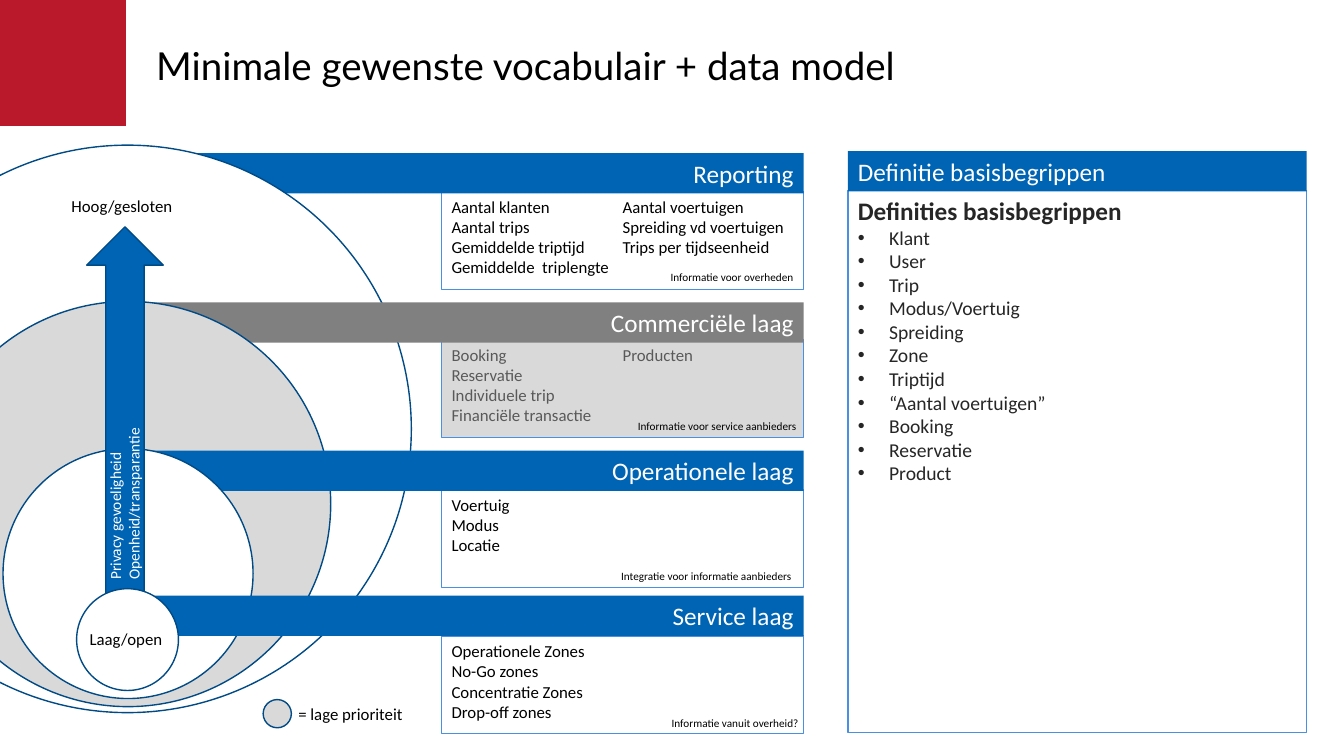
import pptx
import pptx.util
import pptx.dml.color
import pptx.enum.shapes
import pptx.enum.text
import pptx.oxml
import pptx.oxml.ns
from lxml import etree

Inches = pptx.util.Inches
Pt = pptx.util.Pt
RGBColor = pptx.dml.color.RGBColor
Shape = pptx.enum.shapes.MSO_SHAPE
Anchor = pptx.enum.text.MSO_ANCHOR
Align = pptx.enum.text.PP_ALIGN

WHITE = RGBColor(0xFF, 0xFF, 0xFF)
BLACK = RGBColor(0x00, 0x00, 0x00)
RED = RGBColor(0xBA, 0x19, 0x2B)
BLUE = RGBColor(0x00, 0x64, 0xB4)
DARK_BLUE = RGBColor(0x00, 0x4A, 0x85)
LIGHT_BLUE = RGBColor(0x4A, 0x90, 0xE2)
GRAY = RGBColor(0x80, 0x80, 0x80)
LIGHT_GRAY = RGBColor(0xD9, 0xD9, 0xD9)
TEXT_GRAY = RGBColor(0x59, 0x59, 0x59)
CHARCOAL = RGBColor(0x26, 0x26, 0x26)

# name, bar top, box top, terms, note, note left, note top, low priority
LAYERS = [
    ("Reporting", 1.52, 1.9,
     ["Aantal klanten", "Aantal trips", "Gemiddelde triptijd", "Gemiddelde  triplengte",
      "Aantal voertuigen", "Spreiding vd voertuigen", "Trips per tijdseenheid"],
     "Informatie voor overheden", 5.27, 2.63, False),
    ("Commerciële laag", 3, 3.37,
     ["Booking", "Reservatie", "Individuele trip", "Financiële transactie", "Producten"],
     "Informatie voor service aanbieders", 5.3, 4.11, True),
    ("Operationele laag", 4.47, 4.86, ["Voertuig", "Modus", "Locatie"],
     "Integratie voor informatie aanbieders", 5.25, 5.6, False),
    ("Service laag", 5.91, 6.31,
     ["Operationele Zones", "No-Go zones", "Concentratie Zones", "Drop-off zones"],
     "Informatie vanuit overheid?", 5.32, 7.06, False),
]
CIRCLES = [(-1.55, 1.44, 5.63), (-0.74, 2.99, 4.02), (0.03, 4.45, 2.48)]
CONCEPTS = ["Klant", "User", "Trip", "Modus/Voertuig", "Spreiding", "Zone", "Triptijd",
            "“Aantal voertuigen”", "Booking", "Reservatie", "Product"]


class SlideBuilder:
    """Draws styled elements on the current slide."""

    font = "Calibri"

    def __init__(self, slide):
        self.slide = slide

    def shape(self, kind, left, top, width, height, fill, line=None, rotation=0):
        shape = self.slide.shapes.add_shape(
            kind, Inches(left), Inches(top), Inches(width), Inches(height))
        shape.shadow.inherit = False
        shape.rotation = rotation
        shape.fill.solid()
        shape.fill.fore_color.rgb = fill
        if line is None:
            shape.line.fill.background()
        else:
            shape.line.color.rgb = line
            shape.line.width = Pt(1)
        return shape

    def fill_text(self, shape, lines, size, color, align=Align.LEFT, anchor=Anchor.TOP, font=None):
        frame = shape.text_frame
        frame.text = "\n".join(lines)
        frame.vertical_anchor = anchor
        for paragraph in frame.paragraphs:
            paragraph.alignment = align
            for run in paragraph.runs:
                run.font.name = font or self.font
                run.font.size = Pt(size)
                run.font.color.rgb = color
        return frame

    def circle(self, left, top, size, fill):
        self.shape(Shape.OVAL, left, top, size, size, fill, DARK_BLUE)

    def bar(self, text, left, top, width, fill, align):
        bar = self.shape(Shape.RECTANGLE, left, top, width, 0.4, fill)
        self.fill_text(bar, [text], 18, WHITE, align)

    def term_box(self, top, terms, fill, color):
        box = self.shape(Shape.RECTANGLE, 4.38, top, 3.59, 0.97, fill, LIGHT_BLUE)
        frame = self.fill_text(box, terms, 12, color)
        frame._txBody.bodyPr.set("numCol", "2")

    def text(self, lines, left, top, width, height, size, color=BLACK,
             align=Align.LEFT, wrap=True, rotation=0):
        box = self.slide.shapes.add_textbox(
            Inches(left), Inches(top), Inches(width), Inches(height))
        box.rotation = rotation
        frame = self.fill_text(box, lines, size, color, align)
        frame.word_wrap = wrap

    def title(self, text):
        box = self.slide.shapes.add_textbox(Inches(1.55), Inches(0), Inches(11.06), Inches(1.37))
        frame = self.fill_text(box, [text], 27.5, BLACK, anchor=Anchor.MIDDLE, font="Lato")
        frame.word_wrap = True
        frame.margin_left = frame.margin_right = frame.margin_top = frame.margin_bottom = 0
        frame.paragraphs[0].line_spacing = Pt(27.5)

    def definitions(self, heading, concepts):
        panel = self.shape(Shape.RECTANGLE, 8.41, 1.89, 4.55, 5.38, WHITE, LIGHT_BLUE)
        frame = self.fill_text(panel, [heading] + concepts, 14, CHARCOAL)
        first, *bullets = frame.paragraphs
        first.runs[0].font.size = Pt(18)
        first.runs[0].font.bold = True
        for paragraph in bullets:
            properties = paragraph._p.get_or_add_pPr()
            properties.set("marL", str(Inches(0.31)))
            properties.set("indent", str(-Inches(0.31)))
            font = etree.SubElement(properties, pptx.oxml.ns.qn("a:buFont"))
            font.set("typeface", "Arial")
            bullet = etree.SubElement(properties, pptx.oxml.ns.qn("a:buChar"))
            bullet.set("char", "•")


def main():
    presentation = pptx.Presentation()
    presentation.slide_width = Inches(13.33)
    presentation.slide_height = Inches(7.5)
    builder = SlideBuilder(presentation.slides.add_slide(presentation.slide_layouts[6]))

    builder.shape(Shape.RECTANGLE, 0, 0, 1.25, 1.25, RED)
    builder.title("Minimale gewenste vocabulair + data model")

    for name, bar_top, box_top, terms, note, note_left, note_top, low in reversed(LAYERS):
        builder.term_box(box_top, terms, LIGHT_GRAY if low else WHITE,
                         TEXT_GRAY if low else BLACK)
    for index, (name, bar_top, box_top, terms, note, note_left, note_top, low) in enumerate(LAYERS):
        builder.bar(name, 1.27, bar_top, 6.7, GRAY if low else BLUE, Align.RIGHT)
        if index < len(CIRCLES):
            builder.circle(*CIRCLES[index], LIGHT_GRAY if low else WHITE)
        builder.text([note], note_left, note_top, 2.7, 0.24, 8, align=Align.RIGHT)

    builder.definitions("Definities basisbegrippen", CONCEPTS)
    builder.bar("Definitie basisbegrippen", 8.41, 1.5, 4.55, BLUE, Align.LEFT)

    builder.text(["Hoog/gesloten"], 0.61, 1.89, 1.22, 0.3, 12, wrap=False)
    builder.shape(Shape.RIGHT_ARROW, -0.59, 3.7, 3.66, 0.76, BLUE, DARK_BLUE, rotation=270)
    builder.text(["Privacy gevoeligheid", "Openheid/transparantie"],
                 -0.29, 4.09, 3.05, 0.47, 11, WHITE, rotation=270)
    builder.circle(0.76, 5.84, 1.01, WHITE)
    builder.text(["Laag/open"], 0.79, 6.19, 0.93, 0.3, 12, wrap=False)

    builder.circle(2.61, 6.94, 0.28, LIGHT_GRAY)
    builder.text(["= lage prioriteit"], 2.86, 6.93, 1.25, 0.3, 12, wrap=False)

    presentation.save("out.pptx")


if __name__ == "__main__":
    main()
